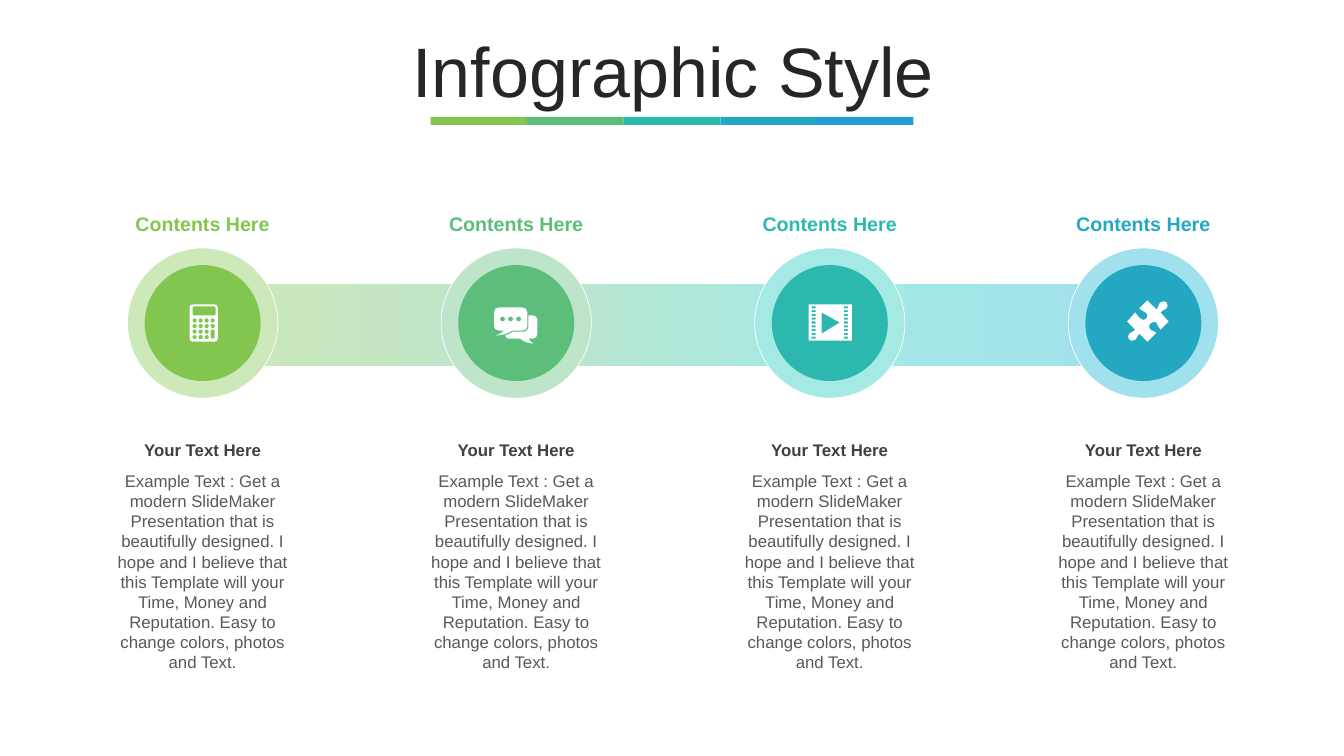
from dataclasses import dataclass
from itertools import chain

from lxml import etree
from pptx import Presentation
from pptx import util as u
from pptx.dml.color import RGBColor
from pptx.enum import shapes, text
from pptx.oxml.ns import qn

TITLE = "Infographic Style"
BODY = ("Example Text : Get a modern SlideMaker Presentation that is beautifully "
        "designed. I hope and I believe that this Template will your Time, Money "
        "and Reputation. Easy to change colors, photos and Text.")
# heading, subheading, body, accent, pale ring
STEPS = [
    ("Contents Here", "Your Text Here", BODY, "82C650", "CDE8B9"),
    ("Contents Here", "Your Text Here", BODY, "5CBE7A", "BEE5CA"),
    ("Contents Here", "Your Text Here", BODY, "2CB8AE", "A4E9E4"),
    ("Contents Here", "Your Text Here", BODY, "24A8C2", "A1E1ED"),
]


@dataclass(frozen=True)
class Theme:
    font: str = "Arial"
    title: str = "262626"
    subheading: str = "404040"
    body: str = "595959"
    white: str = "FFFFFF"
    stripe_end: str = "249ED2"
    title_size: int = 50
    heading_size: int = 14
    text_size: int = 12


THEME = Theme()
FIRST_CENTER, PITCH = 2.01, 3.11
STRIPE_LEFT, STRIPE_WIDTH = 4.27, 4.79
RING_TOP, RING, DISC_TOP, DISC = 2.46, 1.49, 2.63, 1.15

# Outlines: a start point, then lines (x, y) and Bezier curves (x1, y1, x2, y2, x, y)
FRONT_BUBBLE = [
    (4.95, 3.05), (5.18, 3.05), (5.21, 3.05, 5.23, 3.07, 5.23, 3.1), (5.23, 3.24),
    (5.23, 3.26, 5.21, 3.28, 5.18, 3.28), (5.08, 3.28),
    (5.02, 3.32, 5, 3.32, 4.92, 3.33), (4.97, 3.3, 4.98, 3.31, 5, 3.28), (4.95, 3.28),
    (4.92, 3.28, 4.9, 3.26, 4.9, 3.24), (4.9, 3.1), (4.9, 3.07, 4.92, 3.05, 4.95, 3.05),
]
BACK_BUBBLE = [
    (5.24, 3.13), (5.29, 3.13), (5.31, 3.13, 5.33, 3.15, 5.33, 3.17), (5.33, 3.31),
    (5.33, 3.34, 5.31, 3.36, 5.29, 3.36), (5.24, 3.36),
    (5.25, 3.37, 5.25, 3.38, 5.29, 3.41), (5.21, 3.4, 5.2, 3.39, 5.16, 3.36),
    (5.05, 3.36), (5.03, 3.36, 5.02, 3.35, 5.01, 3.33),
    (5.04, 3.32, 5.06, 3.31, 5.09, 3.29), (5.2, 3.29),
    (5.22, 3.29, 5.24, 3.27, 5.24, 3.25),
]
PUZZLE_PIECE = [
    (11.57, 3), (11.58, 3.02, 11.59, 3.04, 11.57, 3.06),
    (11.55, 3.08, 11.53, 3.07, 11.51, 3.1), (11.59, 3.19), (11.51, 3.27),
    (11.48, 3.25, 11.49, 3.22, 11.47, 3.2), (11.45, 3.19, 11.42, 3.19, 11.41, 3.21),
    (11.39, 3.22, 11.39, 3.25, 11.41, 3.27), (11.44, 3.29, 11.44, 3.28, 11.47, 3.3),
    (11.38, 3.39), (11.3, 3.31), (11.27, 3.33, 11.29, 3.34, 11.26, 3.37),
    (11.24, 3.39, 11.21, 3.38, 11.2, 3.37), (11.19, 3.35, 11.18, 3.33, 11.2, 3.31),
    (11.22, 3.29, 11.24, 3.3, 11.26, 3.27), (11.18, 3.19), (11.26, 3.1),
    (11.29, 3.12, 11.28, 3.15, 11.31, 3.16), (11.33, 3.18, 11.35, 3.18, 11.37, 3.16),
    (11.38, 3.15, 11.39, 3.12, 11.36, 3.1), (11.34, 3.08, 11.33, 3.09, 11.3, 3.06),
    (11.38, 2.98), (11.47, 3.07), (11.5, 3.04, 11.48, 3.03, 11.51, 3),
    (11.53, 2.98, 11.56, 2.99, 11.57, 3),
]
PLAY_MARK = [(8.15, 3.1), (8.15, 3.31), (8.33, 3.2)]


def rectangle(left, top, width, height):
    right, bottom = left + width, top + height
    return [(left, top), (right, top), (right, bottom), (left, bottom)]


def rounded(left, top, width, height, radius):
    """Return a rounded rectangle; half the size as radius gives a circle."""
    right, bottom, near = left + width, top + height, radius * 0.45
    return [
        (left + radius, top), (right - radius, top),
        (right - near, top, right, top + near, right, top + radius),
        (right, bottom - radius),
        (right, bottom - near, right - near, bottom, right - radius, bottom),
        (left + radius, bottom),
        (left + near, bottom, left, bottom - near, left, bottom - radius),
        (left, top + radius),
        (left, top + near, left + near, top, left + radius, top),
    ]


def calculator():
    keys = [rounded(1.91 + column * 0.06, 3.16 + row * 0.055, 0.04,
                    0.09 if (row, column) == (2, 3) else 0.04, 0.01)
            for row in range(4) for column in range(4) if (row, column) != (3, 3)]
    return [rounded(1.88, 3.02, 0.28, 0.37, 0.03), rounded(1.91, 3.04, 0.23, 0.09, 0.01), *keys]


def chat():
    dots = [rounded(4.96 + index * 0.08, 3.14, 0.05, 0.05, 0.025) for index in range(3)]
    return [BACK_BUBBLE, FRONT_BUBBLE, *dots]


def film():
    holes = [rectangle(left, 3.04 + row * 0.3 / 8, 0.04, 0.02)
             for left in (8.05, 8.37) for row in range(9)]
    return [rectangle(8.02, 3.02, 0.43, 0.36), PLAY_MARK, *holes]


ICONS = [calculator(), chat(), film(), [PUZZLE_PIECE]]


def paint(shape, fill, line=None):
    shape.shadow.inherit = False
    shape.fill.solid()
    shape.fill.fore_color.rgb = RGBColor.from_string(fill)
    if line:
        shape.line.color.rgb = RGBColor.from_string(line)
        shape.line.width = u.Pt(0.5)
    else:
        shape.line.fill.background()


def add_block(page, kind, left, top, width, height, fill, line=None):
    block = page.shapes.add_shape(kind, *map(u.Inches, (left, top, width, height)))
    paint(block, fill, line)
    return block


def add_circle(page, center, top, size, fill, line=None):
    add_block(page, shapes.MSO_SHAPE.OVAL, center - size / 2, top, size, size, fill, line)


def add_icon(page, outlines):
    """Draw closed outlines as one white shape; inner outlines become holes."""
    ends = [[tuple(map(u.Inches, step[-2:])) for step in outline] for outline in outlines]
    builder = page.shapes.build_freeform(*ends[0][0])
    for index, points in enumerate(ends):
        if index:
            builder.move_to(*points[0])
        builder.add_line_segments(points[1:], close=True)
    icon = builder.convert_to_shape()
    paint(icon, THEME.white)
    drawn = [node for node in next(icon._element.iter(qn("a:path")))
             if node.tag != qn("a:close")]
    for node, step in zip(drawn, chain.from_iterable(outlines)):
        if len(step) == 6:
            node.tag = qn("a:cubicBezTo")
            node.remove(node[0])
            for x, y in zip(step[::2], step[1::2]):
                etree.SubElement(node, qn("a:pt"), x=str(u.Inches(x) - icon.left),
                                 y=str(u.Inches(y) - icon.top))


def write(box, words, size, color, bold=False):
    frame = box.text_frame
    frame.text = words
    frame.word_wrap = True
    para = frame.paragraphs[0]
    para.alignment = text.PP_ALIGN.CENTER
    font = para.runs[0].font
    font.name, font.size, font.bold = THEME.font, u.Pt(size), bold
    font.color.rgb = RGBColor.from_string(color)
    return para


def add_caption(page, center, top, width, height, words, size, color, bold=False):
    box = page.shapes.add_textbox(*map(u.Inches, (center - width / 2, top, width, height)))
    write(box, words, size, color, bold)
    box.text_frame.auto_size = text.MSO_AUTO_SIZE.SHAPE_TO_FIT_TEXT


def add_title(page):
    title = page.shapes.title
    title.left, title.top, title.width, title.height = map(u.Inches, (0.35, 0.37, 12.66, 0.79))
    para = write(title, TITLE, THEME.title_size, THEME.title)
    para.line_spacing = 0.8
    title.text_frame.auto_size = text.MSO_AUTO_SIZE.NONE
    title.text_frame.vertical_anchor = text.MSO_ANCHOR.MIDDLE
    colors = [step[3] for step in STEPS] + [THEME.stripe_end]
    width = STRIPE_WIDTH / len(colors)
    for index, color in enumerate(colors):
        add_block(page, shapes.MSO_SHAPE.RECTANGLE, STRIPE_LEFT + index * width, 1.16,
                  width, 0.08, color)


def add_band(page):
    band = add_block(page, shapes.MSO_SHAPE.RECTANGLE, 2.01, 2.81, 9.35, 0.83,
                     THEME.white, THEME.white)
    band.fill.gradient()
    band.fill.gradient_angle = 0
    stops = next(band._element.iter(qn("a:gsLst")))
    for stop in list(stops):
        stops.remove(stop)
    for position, step in zip((0, 33, 66, 100), STEPS):
        stop = etree.SubElement(stops, qn("a:gs"), pos=str(position * 1000))
        etree.SubElement(stop, qn("a:srgbClr"), val=step[4])


def main():
    deck = Presentation()
    deck.slide_width, deck.slide_height = u.Inches(13.33), u.Inches(7.5)
    page = deck.slides.add_slide(deck.slide_layouts[5])
    add_title(page)
    add_band(page)
    for index, (step, icon) in enumerate(zip(STEPS, ICONS)):
        heading, subheading, body, accent, pale = step
        center = FIRST_CENTER + index * PITCH
        add_circle(page, center, RING_TOP, RING, pale, THEME.white)
        add_circle(page, center, DISC_TOP, DISC, accent)
        add_icon(page, icon)
        add_caption(page, center, 2.05, 2.26, 0.34, heading, THEME.heading_size, accent, True)
        add_caption(page, center, 4.31, 2.13, 0.3, subheading,
                    THEME.text_size, THEME.subheading, True)
        add_caption(page, center, 4.62, 2.13, 2.12, body, THEME.text_size, THEME.body)
    deck.save("out.pptx")


if __name__ == "__main__":
    main()
